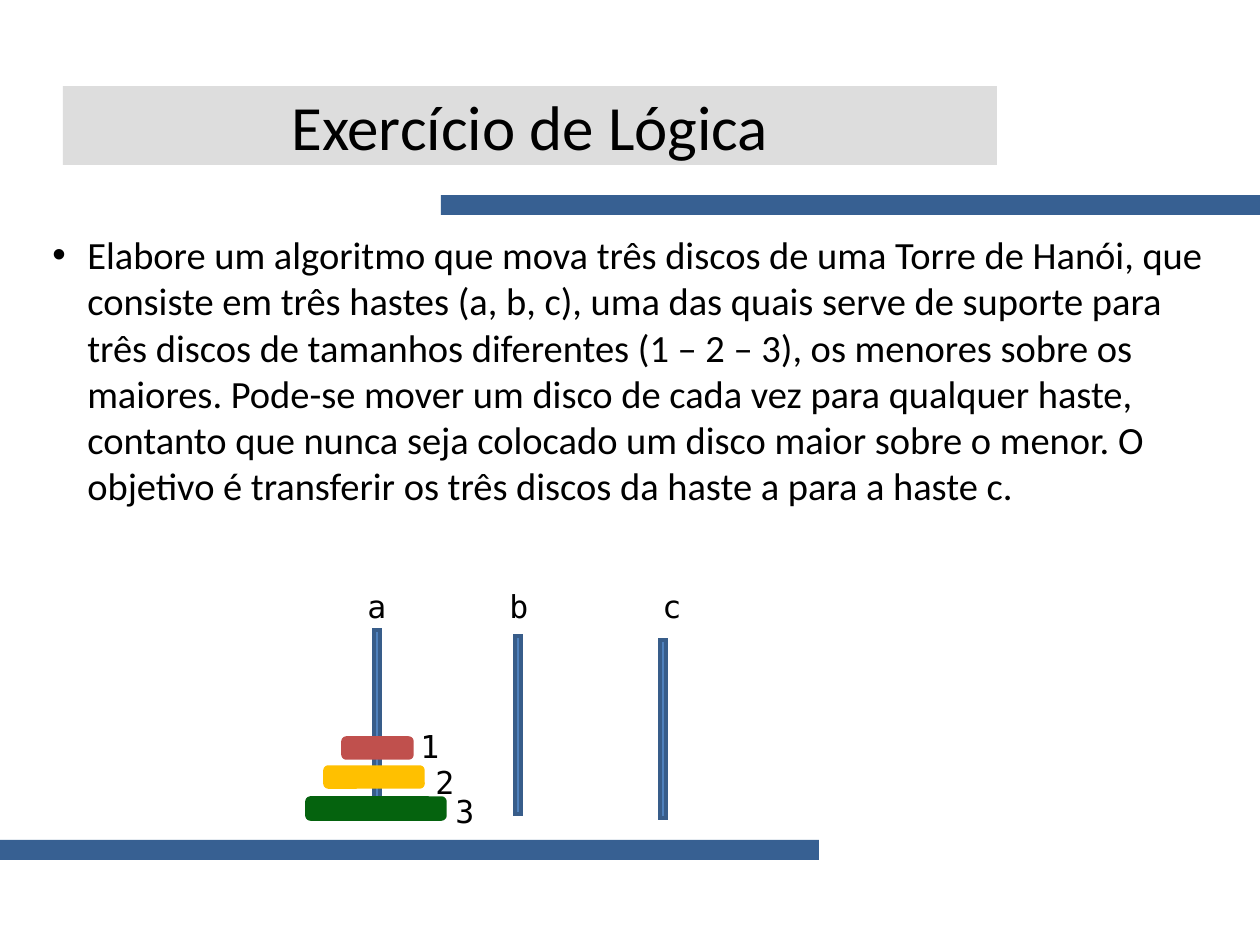
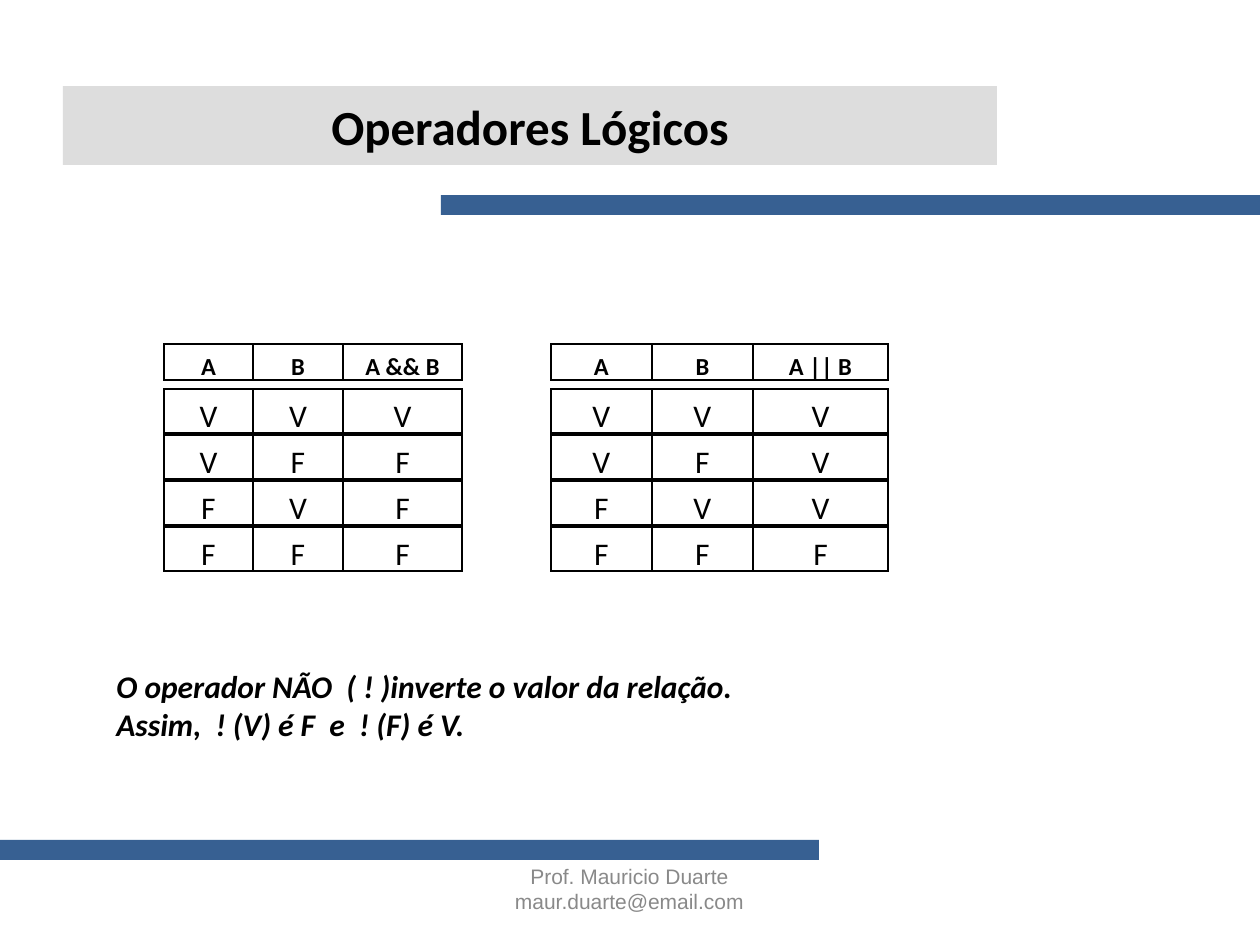
from dataclasses import dataclass

from lxml.etree import SubElement
from pptx import Presentation
from pptx.dml.color import RGBColor
from pptx.enum.shapes import MSO_SHAPE as Shape
from pptx.enum.text import MSO_ANCHOR as Anchor, PP_ALIGN as Align
from pptx.oxml.ns import qn
from pptx.util import Emu, Pt


@dataclass(frozen=True)
class Theme:
    band: str = "376092"
    title_fill: str = "DDDDDD"
    ink: str = "000000"
    footer_ink: str = "898989"
    rod: str = "4F81BD"
    rod_edge: str = "385D8A"
    font: str = "Calibri"
    mono: str = "DejaVu Sans Mono"
    footer_font: str = "Arial"
    title: int = 36
    title_bold: int = 28
    body: int = 22
    cell: int = 18
    header: int = 14
    footer: int = 12
    edge: float = 2
    cell_edge: float = 0.75


THEME = Theme()
PX_PER_INCH = 126

# Content: boxes are (left, top, width, height) in px
BANDS = [(0, 840, 819, 20), (441, 195, 819, 20)]
TITLE_BOX = (63, 86, 934, 79)

HANOI_TITLE = "Exercício de Lógica"
HANOI_TASK = (
    "Elabore um algoritmo que mova três discos de uma Torre de Hanói, que "
    "consiste em três hastes (a, b, c), uma das quais serve de suporte para "
    "três discos de tamanhos diferentes (1 – 2 – 3), os menores sobre os "
    "maiores. Pode-se mover um disco de cada vez para qualquer haste, "
    "contanto que nunca seja colocado um disco maior sobre o menor. O "
    "objetivo é transferir os três discos da haste a para a haste c."
)
TASK_BOX = (25, 225, 1197, 307)
TASK_INDENT, TASK_HANG = 50, 35
# name, rod left, rod top, label left
RODS = [("a", 374, 630, 355), ("b", 515, 636, 497), ("c", 660, 640, 650)]
ROD_SIZE = (6, 178)
ROD_LABEL_TOP = 581
# name, disc box, colour, label left, label top
DISCS = [
    ("1", (343, 738, 69, 20), "C0504D", 408, 721),
    ("2", (325, 767, 98, 20), "FFC000", 423, 757),
    ("3", (307, 798, 138, 21), "05630E", 443, 786),
]
LABEL_SIZE = (78, 50)

OPERATORS_TITLE = "Operadores Lógicos"
TRUTH_TABLES = [
    dict(left=164, widths=(89, 90, 119), header=("A", "B", "A && B"),
         rows=("VVV", "VFF", "FVF", "FFF")),
    dict(left=551, widths=(101, 101, 135), header=("A", "B", "A || B"),
         rows=("VVV", "VFV", "FVV", "FFF")),
]
HEADER_TOP, HEADER_HEIGHT = 344, 36
ROWS_TOP, ROW_HEIGHT, ROW_PITCH = 389, 44, 46
CELL_INSET = 7
NOT_RULE = "O operador NÃO  ( ! )inverte o valor da relação. Assim,  ! (V) é F  e  ! (F) é V."
NOT_BOX = (104, 661, 704, 82)
FOOTER = "Prof. Mauricio Duarte maur.duarte@email.com"
FOOTER_BOX = (430, 864, 399, 50)


def px(length):
    return Emu(round(length * 914400 / PX_PER_INCH))


def place(box):
    return [px(length) for length in box]


def rgb(color):
    return RGBColor.from_string(color)


def write(paragraph, words, size, font=THEME.font, color=THEME.ink,
          align=Align.LEFT, bold=False, italic=False):
    paragraph.alignment = align
    run = paragraph.add_run()
    run.text = words
    run.font.size, run.font.name = Pt(size), font
    run.font.bold, run.font.italic = bold, italic
    run.font.color.rgb = rgb(color)


def add_block(slide, kind, box, fill=None, edge=None, edge_width=THEME.edge):
    block = slide.shapes.add_shape(kind, *place(box))
    block.shadow.inherit = False
    if fill:
        block.fill.solid()
        block.fill.fore_color.rgb = rgb(fill)
    else:
        block.fill.background()
    if edge:
        block.line.color.rgb = rgb(edge)
        block.line.width = Pt(edge_width)
        if kind == Shape.RECTANGLE:
            SubElement(block.line._get_or_add_ln(), qn("a:miter"), lim="800000")
    else:
        block.line.fill.background()
    return block


def add_words(slide, box, words, size, anchor=Anchor.TOP, **style):
    frame = slide.shapes.add_textbox(*place(box)).text_frame
    frame.word_wrap = True
    frame.vertical_anchor = anchor
    paragraph = frame.paragraphs[0]
    write(paragraph, words, size, **style)
    return paragraph


def add_base_slide(deck, title, size, bold=False):
    slide = deck.slides.add_slide(deck.slide_layouts[6])
    for band in BANDS:
        add_block(slide, Shape.RECTANGLE, band, THEME.band)
    frame = add_block(slide, Shape.RECTANGLE, TITLE_BOX, THEME.title_fill).text_frame
    frame.vertical_anchor = Anchor.MIDDLE
    write(frame.paragraphs[0], title, size, align=Align.CENTER, bold=bold)
    return slide


def set_bullet(paragraph):
    props = paragraph._p.get_or_add_pPr()
    props.set("marL", str(px(TASK_INDENT)))
    props.set("indent", str(-px(TASK_HANG)))
    SubElement(props, qn("a:buFont"), typeface="Arial")
    SubElement(props, qn("a:buChar"), char="•")


def add_cell(slide, box, words, size, bold):
    frame = add_block(slide, Shape.RECTANGLE, box, edge=THEME.ink,
                      edge_width=THEME.cell_edge).text_frame
    frame.vertical_anchor = Anchor.TOP
    frame.margin_top, frame.margin_bottom = px(CELL_INSET), 0
    write(frame.paragraphs[0], words, size, align=Align.CENTER, bold=bold)


def add_truth_table(slide, left, widths, header, rows):
    # Each line of boxes stands apart from the next
    lines = [(header, HEADER_TOP, HEADER_HEIGHT, THEME.header, True)]
    lines += [(row, ROWS_TOP + i * ROW_PITCH, ROW_HEIGHT, THEME.cell, False)
              for i, row in enumerate(rows)]
    for values, top, height, size, bold in lines:
        for c, value in enumerate(values):
            box = (left + sum(widths[:c]), top, widths[c], height)
            add_cell(slide, box, value, size, bold)


def build_hanoi(deck):
    slide = add_base_slide(deck, HANOI_TITLE, THEME.title)
    set_bullet(add_words(slide, TASK_BOX, HANOI_TASK, THEME.body))

    # Rods first, so that the discs cover them
    labels = []
    for name, left, top, label_left in RODS:
        add_block(slide, Shape.RECTANGLE, (left, top, *ROD_SIZE), THEME.rod, THEME.rod_edge)
        labels.append((name, label_left, ROD_LABEL_TOP))
    for name, box, color, label_left, label_top in DISCS:
        add_block(slide, Shape.ROUNDED_RECTANGLE, box, color, color)
        labels.append((name, label_left, label_top))
    for name, left, top in labels:
        add_words(slide, (left, top, *LABEL_SIZE), name, THEME.cell, font=THEME.mono)


def build_operators(deck):
    slide = add_base_slide(deck, OPERATORS_TITLE, THEME.title_bold, bold=True)
    for truth_table in TRUTH_TABLES:
        add_truth_table(slide, **truth_table)
    add_words(slide, NOT_BOX, NOT_RULE, THEME.cell, bold=True, italic=True)
    add_words(slide, FOOTER_BOX, FOOTER, THEME.footer, Anchor.MIDDLE,
              font=THEME.footer_font, color=THEME.footer_ink, align=Align.CENTER)


def main():
    deck = Presentation()
    deck.slide_width, deck.slide_height = px(1260), px(945)
    build_hanoi(deck)
    build_operators(deck)
    deck.save("out.pptx")


if __name__ == "__main__":
    main()
